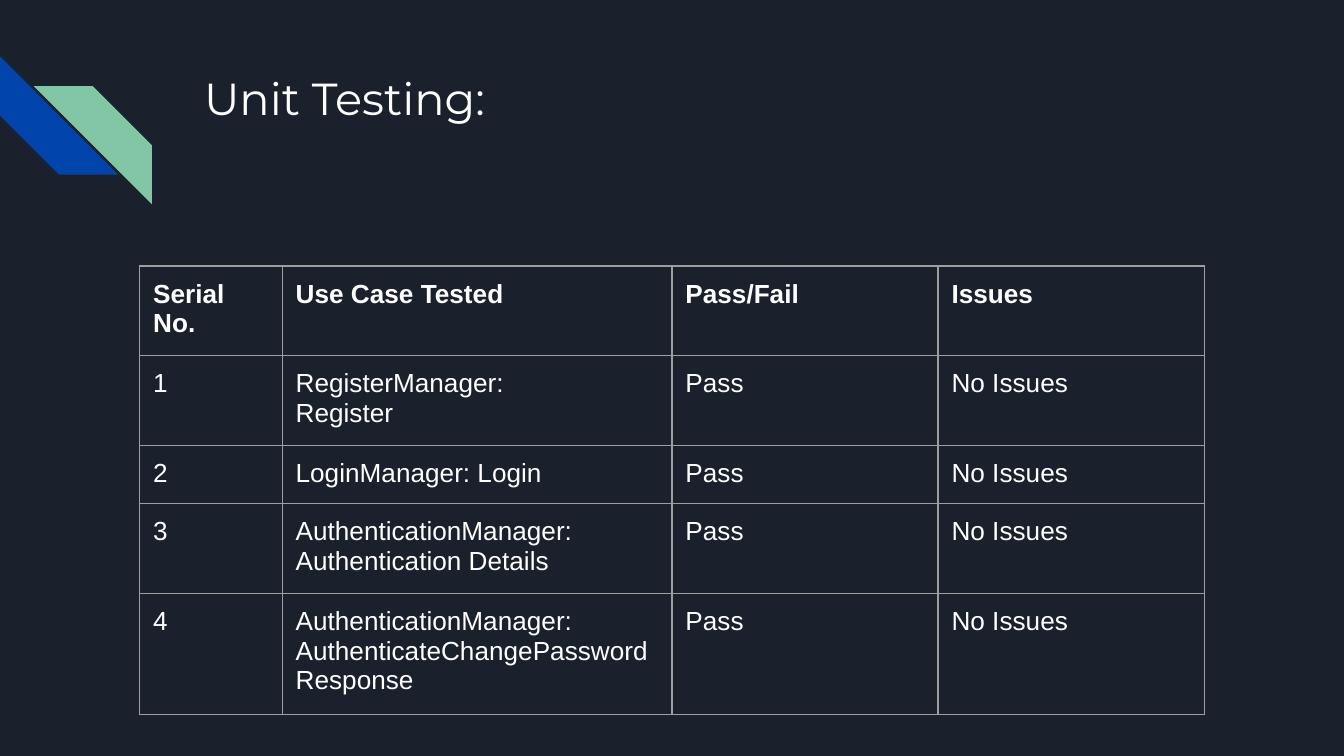
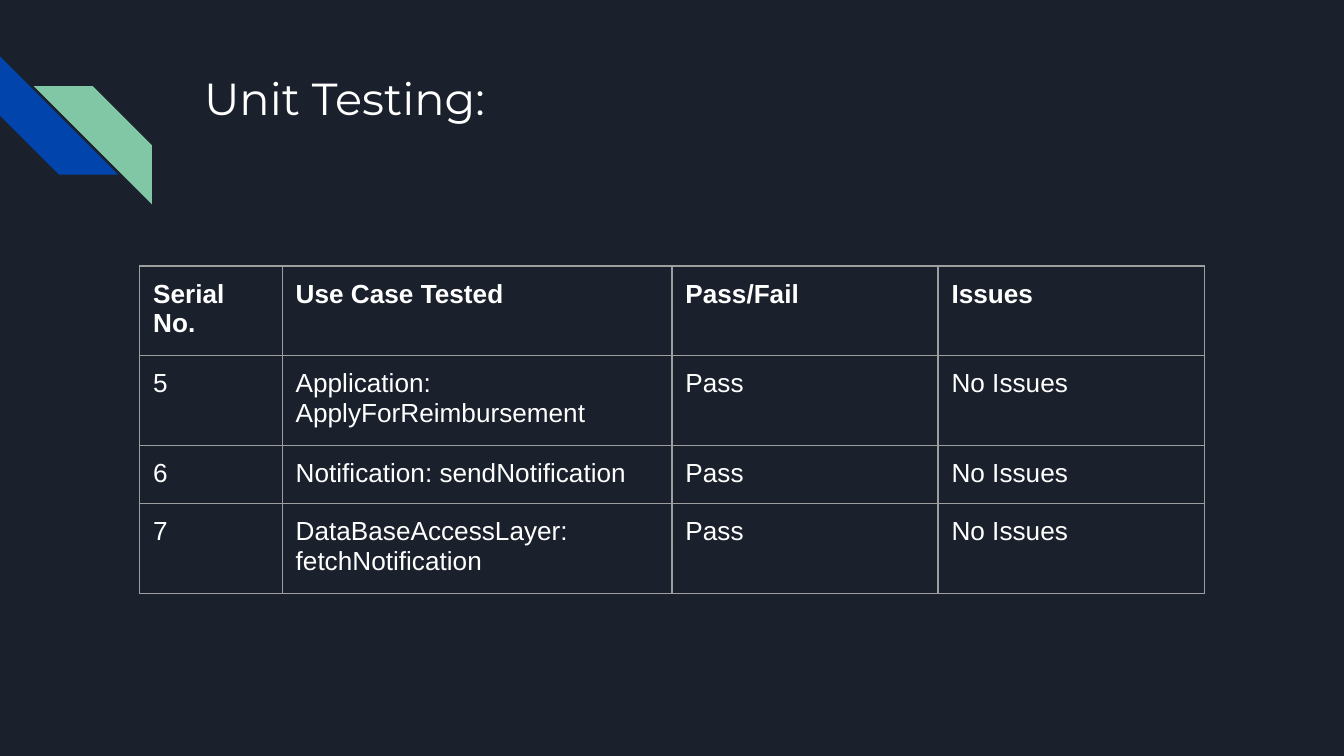
"""Build the two unit testing slides."""
import dataclasses

import lxml.etree
import pptx
import pptx.dml.color
import pptx.enum.shapes
import pptx.oxml.ns
import pptx.util

Inches = pptx.util.Inches


@dataclasses.dataclass(frozen=True)
class Theme:
    background: str = "1B212C"
    blue: str = "0145AC"
    green: str = "82C7A5"
    text: str = "FFFFFF"
    border: str = "9E9E9E"
    title_font: str = "Montserrat"
    body_font: str = "Arial"
    title_size: int = 24
    body_size: int = 14
    border_width: float = 0.75
    inset: float = 0.1


THEME = Theme()
TITLE = "Unit Testing:"
HEADINGS = ("Serial No.", "Use Case Tested", "Pass/Fail", "Issues")
RESULT = ("Pass", "No Issues")
COLUMN_WIDTHS = (1.06, 2.9, 1.98, 1.98)
ROW_HEIGHT = 0.42
FRAME_SIZE = 3.28
USE_CASES_BY_SLIDE = (
    (
        "RegisterManager:\nRegister",
        "LoginManager: Login",
        "AuthenticationManager: Authentication Details",
        "AuthenticationManager: AuthenticateChangePasswordResponse",
    ),
    (
        "Application: ApplyForReimbursement",
        "Notification: sendNotification",
        "DataBaseAccessLayer: fetchNotification",
    ),
)


def rgb(value):
    return pptx.dml.color.RGBColor.from_string(value)


def set_font(paragraph, name, size, bold=False):
    font = paragraph.font
    font.name = name
    font.size = pptx.util.Pt(size)
    font.bold = bold
    font.color.rgb = rgb(THEME.text)


def set_margins(holder):
    for side in ("left", "top", "right", "bottom"):
        setattr(holder, f"margin_{side}", Inches(THEME.inset))


def add_stripe(page, left, top, rotation, color):
    stripe = page.shapes.add_shape(
        pptx.enum.shapes.MSO_SHAPE.DIAGONAL_STRIPE,
        Inches(left), Inches(top), Inches(0.88), Inches(0.88),
    )
    stripe.adjustments[0] = 0.5
    stripe.rotation = rotation
    stripe.shadow.inherit = False
    stripe.fill.solid()
    stripe.fill.fore_color.rgb = rgb(color)
    stripe.line.fill.background()


def add_title(page, text):
    box = page.shapes.add_textbox(Inches(1.42), Inches(0.43), Inches(7.7), Inches(1))
    frame = box.text_frame
    frame.word_wrap = True
    set_margins(frame)
    frame.text = text
    set_font(frame.paragraphs[0], THEME.title_font, THEME.title_size)


def add_borders(cell):
    properties = cell._tc.get_or_add_tcPr()
    qualify = pptx.oxml.ns.qn
    for side in ("lnL", "lnR", "lnT", "lnB"):
        line = lxml.etree.SubElement(
            properties, qualify(f"a:{side}"), w=str(pptx.util.Pt(THEME.border_width))
        )
        fill = lxml.etree.SubElement(line, qualify("a:solidFill"))
        lxml.etree.SubElement(fill, qualify("a:srgbClr"), val=THEME.border)


def fill_cell(cell, text, bold):
    set_margins(cell)
    add_borders(cell)
    cell.fill.background()
    cell.text = text
    for paragraph in cell.text_frame.paragraphs:
        set_font(paragraph, THEME.body_font, THEME.body_size, bold)


def add_results_table(page, rows):
    frame = page.shapes.add_table(
        len(rows), len(COLUMN_WIDTHS), Inches(1.04), Inches(1.98),
        Inches(FRAME_SIZE), Inches(FRAME_SIZE),
    )
    table = frame.table
    table.first_row = False
    table.horz_banding = False
    for column, width in zip(table.columns, COLUMN_WIDTHS):
        column.width = Inches(width)
    for index, (row, texts) in enumerate(zip(table.rows, rows)):
        row.height = Inches(ROW_HEIGHT)
        for cell, text in zip(row.cells, texts):
            fill_cell(cell, text, bold=index == 0)
    frame.width = frame.height = Inches(FRAME_SIZE)


def add_page(deck, rows):
    page = deck.slides.add_slide(deck.slide_layouts[6])
    page.background.fill.solid()
    page.background.fill.fore_color.rgb = rgb(THEME.background)
    add_stripe(page, 0, 0.42, 270, THEME.blue)
    add_stripe(page, 0.25, 0.64, 90, THEME.green)
    add_title(page, TITLE)
    add_results_table(page, rows)


def main():
    deck = pptx.Presentation()
    deck.slide_width = Inches(10)
    deck.slide_height = Inches(10 * 9 / 16)
    serial = 1
    for use_cases in USE_CASES_BY_SLIDE:
        rows = [
            (str(number), use_case, *RESULT)
            for number, use_case in enumerate(use_cases, serial)
        ]
        add_page(deck, [HEADINGS, *rows])
        serial += len(use_cases)
    deck.save("out.pptx")


if __name__ == "__main__":
    main()
